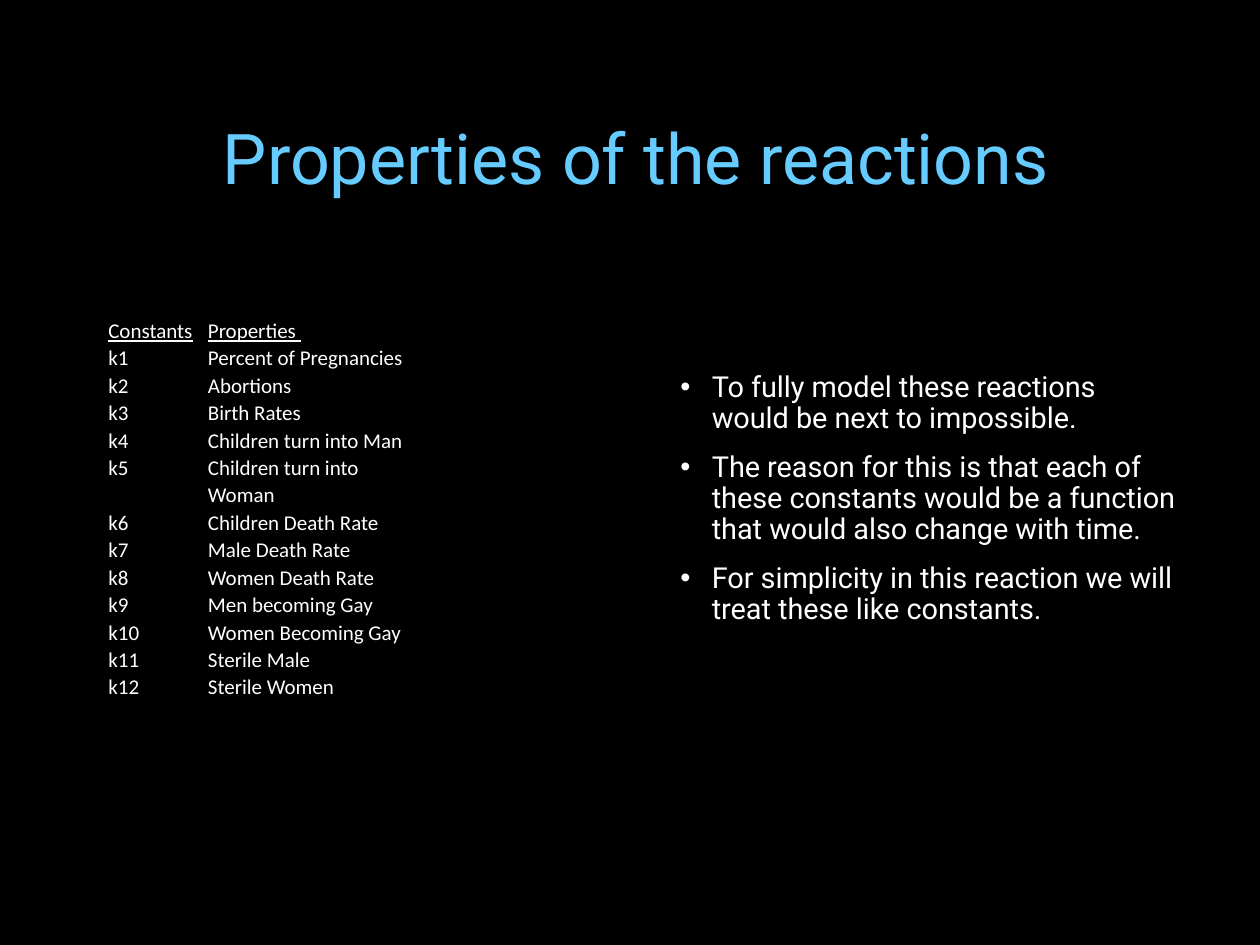
from pptx import Presentation
from pptx.dml.color import RGBColor
from pptx.enum.text import MSO_ANCHOR, PP_ALIGN
from pptx.oxml import parse_xml
from pptx.oxml.ns import nsdecls
from pptx.util import Inches, Pt

COLORS = {
    "background": "000000",
    "title": "66CCFF",
    "title_outline": "404040",
    "text": "FFFFFF",
    "border": "000000",
}
SLIDE_W, SLIDE_H = Inches(10), Inches(7.5)
CONSTANT_SHARE = 0.315
LINE_HEIGHT = Inches(0.2)

TITLE = "Properties of the reactions "
HEADINGS = ("Constants", "Properties ")
PROPERTIES = [
    "Percent of Pregnancies",
    "Abortions",
    "Birth Rates",
    "Children turn into Man",
    "Children turn into Woman",
    "Children Death Rate",
    "Male Death Rate",
    "Women Death Rate",
    "Men becoming Gay",
    "Women Becoming Gay",
    "Sterile Male",
    "Sterile Women",
]
WRAPPED_ROW = PROPERTIES.index("Children turn into Woman") + 1
REMARKS = [
    "To fully model these reactions would be next to impossible.",
    "The reason for this is that each of these constants would be a function "
    "that would also change with time.",
    "For simplicity in this reaction we will treat these like constants.",
]


def box(left, top, width, height):
    """Turn shares of the slide's size into a box of lengths."""
    return (int(left * SLIDE_W), int(top * SLIDE_H),
            int(width * SLIDE_W), int(height * SLIDE_H))


def style(font, name, size, color):
    font.name = name
    font.size = Pt(size)
    font.color.rgb = RGBColor.from_string(COLORS[color])


def place_title(slide, area):
    title = slide.shapes.title
    title.left, title.top, title.width, title.height = area
    frame = title.text_frame
    frame.text = TITLE
    frame.vertical_anchor = MSO_ANCHOR.MIDDLE
    heading = frame.paragraphs[0]
    heading.alignment = PP_ALIGN.CENTER
    run = heading.runs[0]
    style(run.font, "Roboto", 40, "title")
    run.font._element.insert(0, parse_xml(
        f'<a:ln {nsdecls("a")} w="{Pt(0.75)}"><a:solidFill>'
        f'<a:srgbClr val="{COLORS["title_outline"]}"><a:alpha val="10000"/>'
        '</a:srgbClr></a:solidFill></a:ln>'))


def add_borders(cell):
    properties = cell._tc.get_or_add_tcPr()
    for position, side in enumerate(("lnL", "lnR", "lnT", "lnB")):
        properties.insert(position, parse_xml(
            f'<a:{side} {nsdecls("a")} w="{Pt(1)}"><a:solidFill>'
            f'<a:srgbClr val="{COLORS["border"]}"/>'
            f'</a:solidFill></a:{side}>'))


def fill_cell(cell, text, underlined):
    cell.fill.background()
    add_borders(cell)
    cell.margin_left = cell.margin_right = Inches(0.06)
    cell.margin_top = cell.margin_bottom = 0
    entry = cell.text_frame.paragraphs[0]
    entry.text = text
    entry.line_spacing = 1.07
    font = entry.runs[0].font
    style(font, "Calibri", 12, "text")
    font.underline = underlined


def place_constants(slide, area):
    entries = [HEADINGS] + [
        (f"k{number}", name) for number, name in enumerate(PROPERTIES, 1)]
    table = slide.shapes.add_table(len(entries), len(HEADINGS), *area).table
    table.first_row = table.horz_banding = False
    constant_width = int(area[2] * CONSTANT_SHARE)
    table.columns[0].width = constant_width
    table.columns[1].width = area[2] - constant_width
    for index, (row, entry) in enumerate(zip(table.rows, entries)):
        row.height = Inches(0.42) if index == WRAPPED_ROW else LINE_HEIGHT
        for cell, text in zip(row.cells, entry):
            fill_cell(cell, text, underlined=index == 0)


def add_bullet(paragraph):
    properties = paragraph._p.get_or_add_pPr()
    indent = Inches(0.25)
    properties.set("marL", str(indent))
    properties.set("indent", str(-indent))
    properties.append(parse_xml(
        f'<a:buFont {nsdecls("a")} typeface="Arial"/>'))
    properties.append(parse_xml(f'<a:buChar {nsdecls("a")} char="•"/>'))


def place_remarks(slide, area):
    frame = slide.shapes.add_textbox(*area).text_frame
    frame.word_wrap = True
    frame.margin_left = frame.margin_right = Inches(0.07)
    frame.margin_top = frame.margin_bottom = Inches(0.04)
    for index, remark in enumerate(REMARKS):
        point = frame.add_paragraph() if index else frame.paragraphs[0]
        point.text = remark
        add_bullet(point)
        point.line_spacing = 0.9
        point.space_before = Pt(10 if index else 0)
        style(point.runs[0].font, "Roboto", 16.5, "text")


def main():
    deck = Presentation()
    deck.slide_width, deck.slide_height = SLIDE_W, SLIDE_H
    slide = deck.slides.add_slide(deck.slide_layouts[5])
    backdrop = slide.background.fill
    backdrop.solid()
    backdrop.fore_color.rgb = RGBColor.from_string(COLORS["background"])
    place_title(slide, box(0.08, 0.095, 0.863, 0.141))
    place_constants(slide, box(0.08, 0.335, 0.251, 0.4))
    place_remarks(slide, box(0.533, 0.389, 0.41, 0.291))
    deck.save("out.pptx")


if __name__ == "__main__":
    main()
